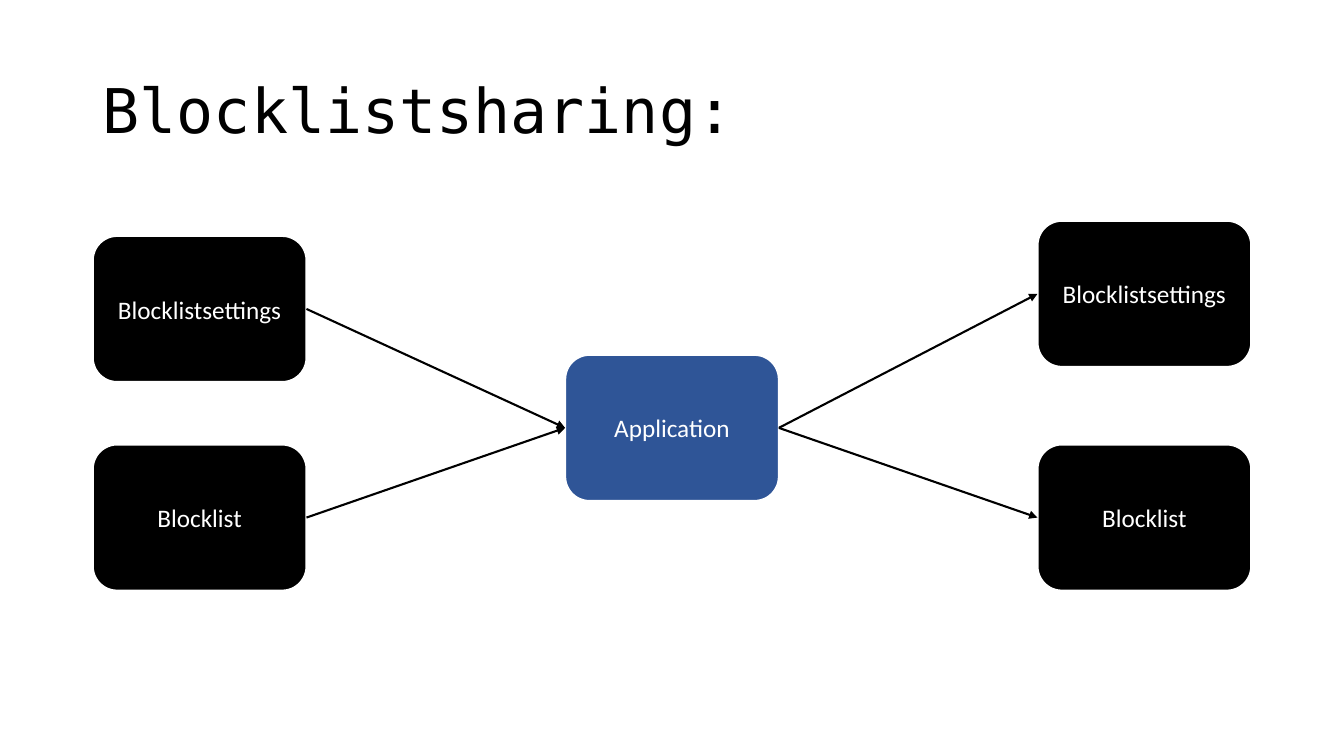
from pptx import Presentation
from pptx.dml.color import RGBColor
from pptx.enum.shapes import MSO_CONNECTOR, MSO_SHAPE
from pptx.enum.text import MSO_ANCHOR, PP_ALIGN
from pptx.oxml.ns import qn
from pptx.util import Inches, Pt
from lxml import etree

BLACK = RGBColor(0, 0, 0)
WHITE = RGBColor(255, 255, 255)
BLUE = RGBColor(0x2F, 0x55, 0x97)
ROUND = MSO_SHAPE.ROUNDED_RECTANGLE
LINE = MSO_CONNECTOR.STRAIGHT
MIDDLE = MSO_ANCHOR.MIDDLE
LEFT, CENTER = PP_ALIGN.LEFT, PP_ALIGN.CENTER

WIDE, HIGH = 13.33, 7.5
EDGE = 0.92
BOX_W, BOX_H = 2.12, 1.45
STEP = (WIDE - 2 * EDGE - BOX_W) / 2
LEFT_SITE, RIGHT_SITE = 1, 3


def write(shape, text, size=18, font="Calibri", color=WHITE, align=CENTER, space=1.0):
    frame = shape.text_frame
    frame.word_wrap = True
    frame.vertical_anchor = MIDDLE
    para = frame.paragraphs[0]
    para.alignment = align
    para.line_spacing = space
    run = para.add_run()
    run.text = text
    run.font.size = Pt(size)
    run.font.name = font
    run.font.color.rgb = color


def add_title(slide, text):
    box = slide.shapes.add_textbox(
        Inches(EDGE), Inches(0.4), Inches(WIDE - 2 * EDGE), Inches(BOX_H))
    write(box, text, size=44, font="DejaVu Sans Mono", color=BLACK, align=LEFT, space=0.9)


def add_box(slide, text, col, top, fill=BLACK):
    box = slide.shapes.add_shape(
        ROUND, Inches(EDGE + col * STEP), Inches(top), Inches(BOX_W), Inches(BOX_H))
    box.shadow.inherit = False
    box.fill.solid()
    box.fill.fore_color.rgb = fill
    box.line.color.rgb = WHITE
    box.line.width = Pt(1.5)
    write(box, text)
    return box


def add_arrow(slide, start, end):
    arrow = slide.shapes.add_connector(LINE, 0, 0, 0, 0)
    arrow.begin_connect(start, RIGHT_SITE)
    arrow.end_connect(end, LEFT_SITE)
    arrow.line.color.rgb = BLACK
    arrow.line.width = Pt(1.5)
    props = arrow._element.spPr
    etree.SubElement(props.find(qn("a:ln")), qn("a:tailEnd"), type="triangle")
    etree.SubElement(props, qn("a:effectLst"))


def main():
    deck = Presentation()
    deck.slide_width, deck.slide_height = Inches(WIDE), Inches(HIGH)
    slide = deck.slides.add_slide(deck.slide_layouts[6])
    add_title(slide, "Blocklistsharing:")
    names = ("Blocklistsettings", "Blocklist")
    inputs = [add_box(slide, name, 0, top) for name, top in zip(names, (2.34, 4.41))]
    outputs = [add_box(slide, name, 2, top) for name, top in zip(names, (2.19, 4.41))]
    app = add_box(slide, "Application", 1, 3.52, fill=BLUE)
    for box in inputs:
        add_arrow(slide, box, app)
    for box in outputs:
        add_arrow(slide, app, box)
    deck.save("out.pptx")


main()
